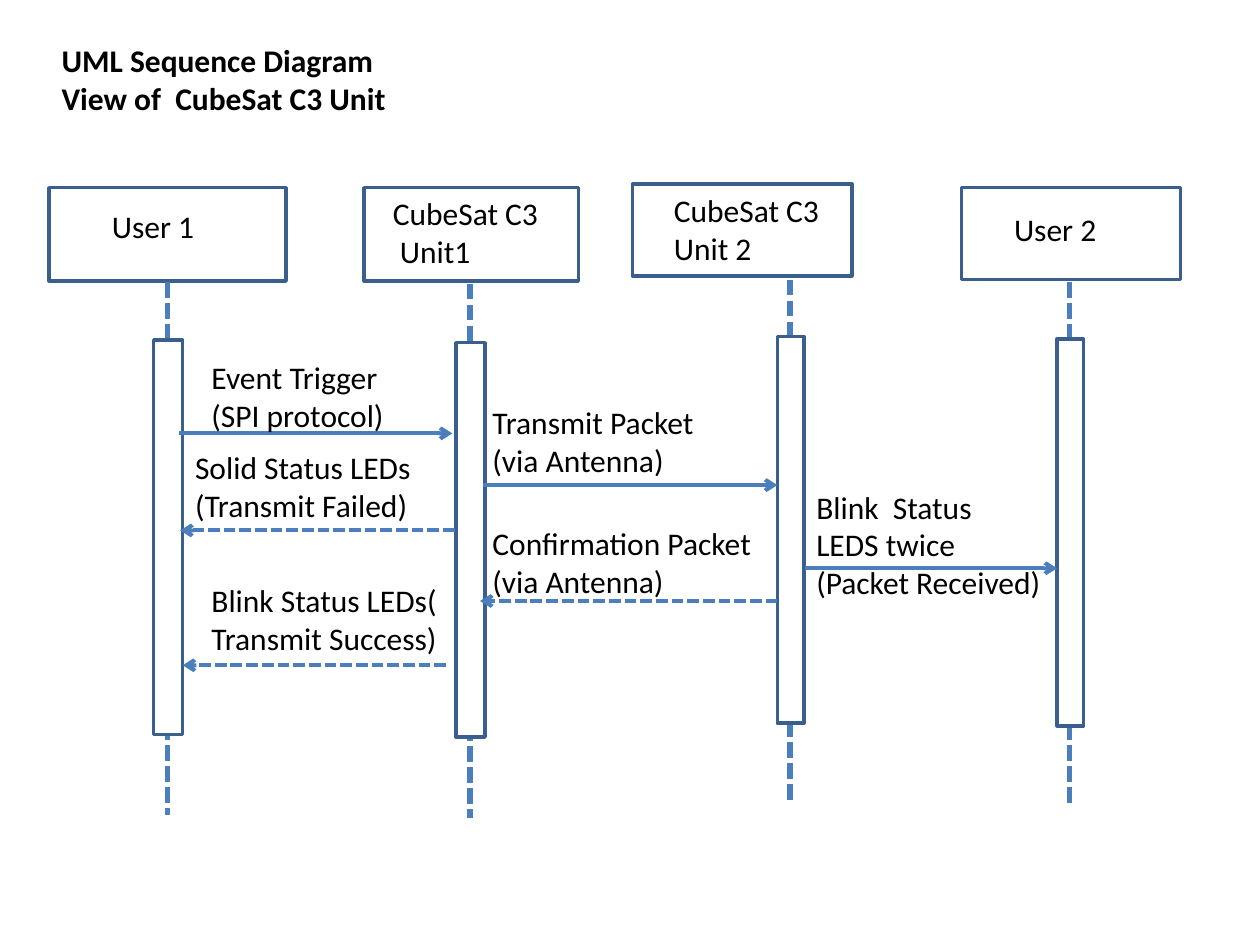
from lxml.etree import SubElement
from pptx import Presentation
from pptx.dml.color import RGBColor
from pptx.enum.dml import MSO_LINE
from pptx.enum.shapes import MSO_CONNECTOR, MSO_SHAPE
from pptx.oxml.ns import qn
from pptx.util import Inches, Pt

BLACK = RGBColor(0x00, 0x00, 0x00)
WHITE = RGBColor(0xFF, 0xFF, 0xFF)
BORDER = RGBColor(0x3A, 0x5F, 0x8C)
LINE = RGBColor(0x4B, 0x7E, 0xBC)

PARTICIPANTS = [
    {"header": (0.39, 1.49, 1.88, 0.74), "bar": (1.22, 2.7, 0.23, 3.13),
     "lifeline": (1.33, 2.24, 6.47),
     "name": "User 1", "name_box": (0.79, 1.59, 0.9, 0.4)},
    {"header": (2.89, 1.49, 1.7, 0.74), "bar": (3.62, 2.72, 0.23, 3.13),
     "lifeline": (3.73, 2.25, 6.49),
     "name": "CubeSat C3\n Unit1", "name_box": (3.02, 1.49, 1.43, 0.71)},
    {"header": (5.02, 1.46, 1.74, 0.73), "bar": (6.17, 2.67, 0.21, 3.07),
     "lifeline": (6.27, 2.22, 6.37),
     "name": "CubeSat C3\nUnit 2", "name_box": (5.25, 1.47, 1.43, 0.71)},
    {"header": (7.63, 1.49, 1.74, 0.73), "bar": (8.39, 2.69, 0.21, 3.07),
     "lifeline": (8.49, 2.24, 6.39),
     "name": "User 2", "name_box": (7.95, 1.62, 0.9, 0.4)},
]

MESSAGES = [
    ("Event Trigger\n(SPI protocol)", (1.58, 2.79, 1.64, 0.71), (1.42, 3.59, 3.44), False),
    ("Solid Status LEDs\n(Transmit Failed)", (1.45, 3.51, 1.93, 1.01), (3.61, 1.43, 4.21), True),
    ("Blink Status LEDs(\nTransmit Success)", (1.58, 4.56, 2.07, 0.71), (3.54, 1.45, 5.28), True),
    ("Transmit Packet\n(via Antenna)", (3.81, 3.15, 2.21, 0.71), (3.83, 6.17, 3.85), False),
    ("Confirmation Packet\n(via Antenna)", (3.81, 4.11, 2.83, 0.71), (6.17, 3.81, 4.77), True),
    ("Blink  Status\nLEDS twice\n(Packet Received)", (6.38, 3.82, 2.05, 1.01), (6.39, 8.39, 4.51), False),
]


def write_text(frame, text, size=18, bold=False, color=BLACK, font_name="Calibri"):
    frame.word_wrap = True
    for index, line in enumerate(text.split("\n")):
        paragraph = frame.paragraphs[0] if index == 0 else frame.add_paragraph()
        run = paragraph.add_run()
        run.text = line
        run.font.name = font_name
        run.font.size = Pt(size)
        run.font.bold = bold
        run.font.color.rgb = color


class SequenceDiagram:
    def __init__(self, slide, border_width=2, lifeline_width=3, message_width=2.25):
        self.slide = slide
        self.border_width = border_width
        self.lifeline_width = lifeline_width
        self.message_width = message_width

    def label(self, text, box, **text_format):
        shape = self.slide.shapes.add_textbox(*map(Inches, box))
        write_text(shape.text_frame, text, **text_format)

    def process(self, box, fill=None):
        shape = self.slide.shapes.add_shape(MSO_SHAPE.FLOWCHART_PROCESS, *map(Inches, box))
        shape.shadow.inherit = False
        if fill is None:
            shape.fill.background()
        else:
            shape.fill.solid()
            shape.fill.fore_color.rgb = fill
        shape.line.color.rgb = BORDER
        shape.line.width = Pt(self.border_width)

    def connector(self, points, width, dashed):
        connector = self.slide.shapes.add_connector(MSO_CONNECTOR.STRAIGHT, *map(Inches, points))
        connector.line.color.rgb = LINE
        connector.line.width = Pt(width)
        if dashed:
            connector.line.dash_style = MSO_LINE.SQUARE_DOT
        SubElement(connector._element.spPr, qn("a:effectLst"))
        return connector

    def lifeline(self, x, top, bottom):
        self.connector((x, top, x, bottom), self.lifeline_width, True)

    def message(self, start, end, y, dashed):
        connector = self.connector((start, y, end, y), self.message_width, dashed)
        SubElement(connector.line._get_or_add_ln(), qn("a:tailEnd"), type="arrow")


def main():
    presentation = Presentation()
    presentation.slide_width = Inches(10)
    presentation.slide_height = Inches(7.5)
    slide = presentation.slides.add_slide(presentation.slide_layouts[6])
    diagram = SequenceDiagram(slide)

    diagram.label("UML Sequence Diagram View of  CubeSat C3 Unit", (0.39, 0.28, 3.19, 0.71), bold=True)
    for participant in PARTICIPANTS:
        diagram.process(participant["header"])
        diagram.label(participant["name"], participant["name_box"])
        diagram.lifeline(*participant["lifeline"])
        diagram.process(participant["bar"], fill=WHITE)
    for text, box, arrow, dashed in MESSAGES:
        diagram.message(*arrow, dashed)
        diagram.label(text, box)

    presentation.save("out.pptx")


if __name__ == "__main__":
    main()
